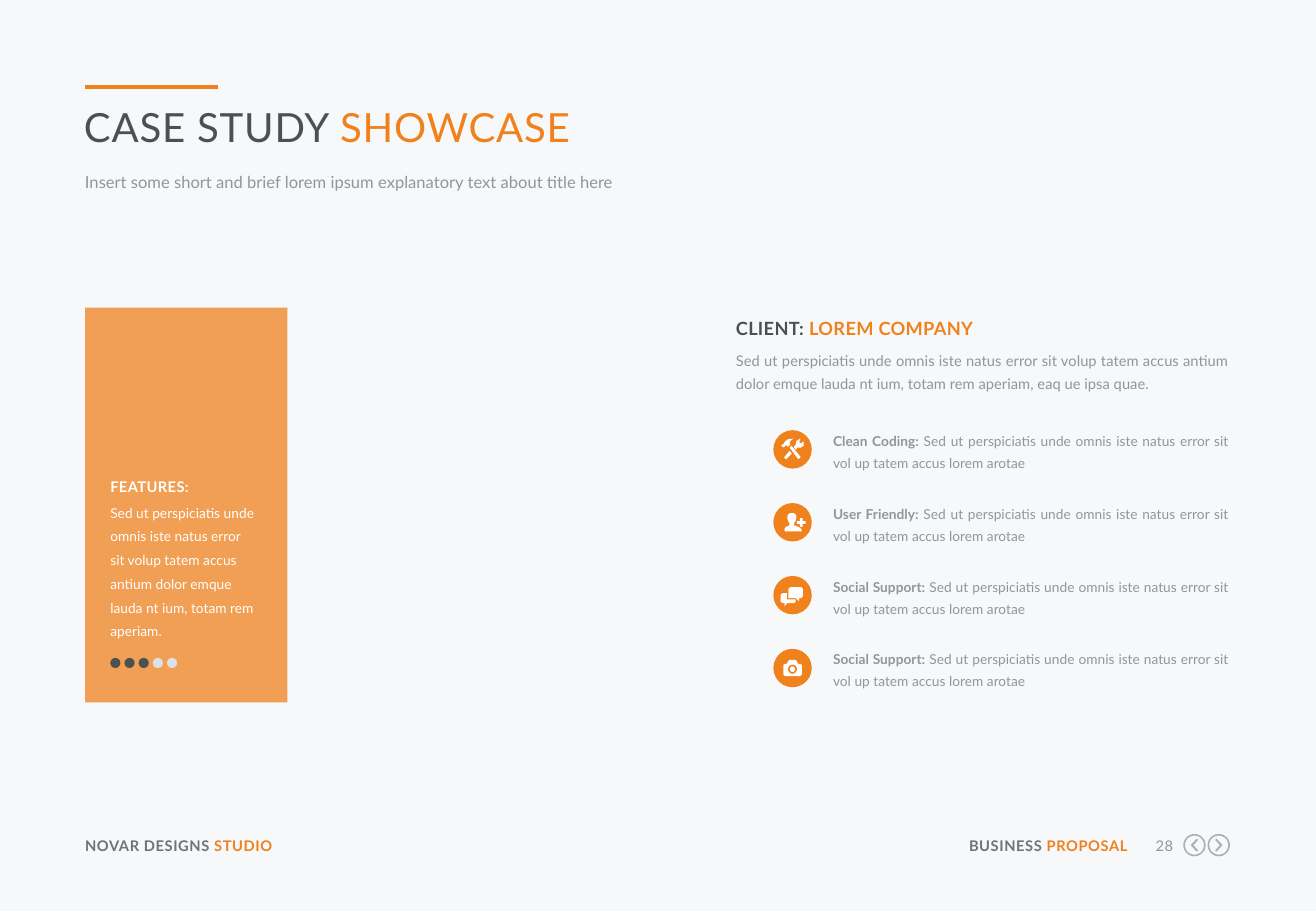
from math import cos, pi, sin

from lxml.etree import SubElement
from pptx import Presentation
from pptx.dml.color import RGBColor
from pptx.enum.shapes import MSO_CONNECTOR as CONN, MSO_SHAPE as SHAPE
from pptx.enum.text import PP_ALIGN as ALIGN
from pptx.oxml.ns import qn
from pptx.util import Pt

PX = 7620  # EMU per px, 120 px to the inch
FONT = "Lato"
COLORS = {
    "back": "F6F8FA", "accent": "F0821E", "dark": "4B5050", "label": "6E7378",
    "muted": "91969B", "nav": "AAAFB4", "pale": "DCE1E6", "white": "FFFFFF",
}


def rgb(name):
    return RGBColor.from_string(COLORS[name])


def circle(cx, cy, radius, steps=36):
    angles = [2 * pi * i / steps for i in range(steps)]
    return [(round(cx + radius * cos(a)), round(cy + radius * sin(a))) for a in angles]


# Icon outlines on a grid of 100 by 100
TOOLS = [
    [(20, 41), (27, 35), (30, 30), (37, 24), (52, 22), (45, 27), (42, 32), (44, 38),
     (38, 43), (33, 39), (27, 45)],
    [(42, 45), (47, 41), (71, 70), (65, 76)],
    [(53, 44), (58, 38), (60, 28), (70, 22), (67, 32), (73, 35), (78, 28), (79, 40),
     (70, 46), (63, 45), (58, 51)],
    [(42, 54), (48, 61), (33, 76), (28, 71)],
]
USER = [
    [(29, 74), (29, 66), (33, 62), (42, 58), (42, 52), (38, 46), (36, 39), (38, 30),
     (44, 26), (53, 26), (58, 30), (60, 37), (58, 46), (54, 52), (54, 58), (67, 63),
     (73, 68), (74, 74)],
    [(69, 39), (76, 39), (76, 47), (84, 47), (84, 54), (76, 54), (76, 62), (69, 62),
     (69, 54), (61, 54), (61, 47), (69, 47)],
]
CHAT = [
    [(24, 45), (35, 45), (35, 61), (58, 61), (58, 67), (53, 71), (35, 71), (29, 80),
     (29, 71), (24, 71), (19, 67), (19, 49)],
    [(44, 29), (72, 29), (77, 34), (77, 53), (72, 58), (67, 58), (67, 66), (58, 58),
     (39, 58), (39, 34)],
]
CAMERA = [
    [(26, 42), (30, 39), (35, 39), (39, 32), (42, 29), (58, 29), (61, 32), (64, 39),
     (70, 39), (74, 42), (74, 67), (70, 71), (30, 71), (26, 67)],
    circle(50, 53, 12), circle(50, 53, 7),
]
NEXT = [
    circle(50, 50, 50), circle(50, 50, 43),
    [(34, 27), (40, 21), (67, 50), (40, 79), (34, 73), (55, 50)],
]
PREVIOUS = [[(100 - x, y) for x, y in outline] for outline in NEXT]


def paint(shape, color):
    shape.shadow.inherit = False
    shape.fill.solid()
    shape.fill.fore_color.rgb = rgb(color)
    shape.line.fill.background()


def add_shape(s, kind, x, y, w, h, color):
    shape = s.shapes.add_shape(kind, x * PX, y * PX, w * PX, h * PX)
    paint(shape, color)
    return shape


def add_icon(s, outlines, x, y, size, color):
    first, *others = outlines
    fb = s.shapes.build_freeform(*first[0], scale=size * PX / 100)
    fb.add_line_segments(first[1:])
    for outline in others:
        fb.move_to(*outline[0])
        fb.add_line_segments(outline[1:])
    paint(fb.convert_to_shape(x * PX, y * PX), color)


def add_text(s, x, y, w, h, runs, size, align=None, leading=None, spacing=0):
    """Each run is (text, color, bold)."""
    tf = s.shapes.add_textbox(x * PX, y * PX, w * PX, h * PX).text_frame
    tf.word_wrap = True
    tf.margin_left = tf.margin_top = tf.margin_right = tf.margin_bottom = 0
    p = tf.paragraphs[0]
    p.alignment = align
    if leading:
        p.line_spacing = Pt(leading)
    for text, color, bold in runs:
        r = p.add_run()
        r.text = text
        r.font.name, r.font.size, r.font.bold = FONT, Pt(size), bold
        r.font.color.rgb = rgb(color)
        if spacing:
            r.font._element.set("spc", str(round(spacing * 100)))


def header(s, x, y, w):
    rule = s.shapes.add_connector(CONN.STRAIGHT, x * PX, y * PX, (x + 131) * PX, y * PX)
    rule.line.color.rgb = rgb("accent")
    rule.line.width = Pt(2.25)
    SubElement(rule._element.spPr, qn("a:effectLst"))
    add_text(s, x - 1, y + 15, w, 52,
             [("CASE STUDY ", "dark", False), ("SHOWCASE", "accent", False)],
             23.8, spacing=0.5)
    add_text(s, x, y + 82, w, 25,
             [("Insert some short and brief lorem ipsum explanatory text about title here",
               "muted", False)], 9.8, leading=13)


def features_panel(s, x, y, w, h):
    panel = add_shape(s, SHAPE.RECTANGLE, x, y, w, h, "accent")
    color = panel._element.spPr.find(qn("a:solidFill"))[0]
    SubElement(color, qn("a:alpha")).set("val", "75000")
    left, text_w = x + 25, w - 57
    add_text(s, left, y + 162, text_w, 24, [("FEATURES:", "white", True)],
             8.7, leading=14.1, spacing=0.2)
    add_text(s, left, y + 187, text_w, 142,
             [("Sed ut perspiciatis unde omnis iste natus error sit volup tatem accus "
               "antium dolor emque lauda nt ium, totam rem aperiam.", "white", False)],
             8.1, leading=14.1)
    # Rating dots
    for i in range(5):
        add_shape(s, SHAPE.OVAL, left + i * 14, y + 346, 10, 10,
                  "dark" if i < 3 else "pale")


def client_details(s, x, y, w):
    add_text(s, x, y, w, 30,
             [("CLIENT: ", "dark", True), ("LOREM COMPANY", "accent", True)],
             10.8, leading=18.4, spacing=0.2)
    add_text(s, x, y + 37, w, 47,
             [("Sed ut perspiciatis unde omnis iste natus error sit volup tatem accus "
               "antium dolor emque lauda nt ium, totam rem aperiam, eaq ue ipsa quae.",
               "muted", False)], 8.7, ALIGN.JUSTIFY, 14.1)
    # Badge and text for each feature
    items = [("Clean Coding:", TOOLS), ("User Friendly:", USER),
             ("Social Support:", CHAT), ("Social Support:", CAMERA)]
    for i, (name, icon) in enumerate(items):
        top = y + 121 + i * 72
        add_shape(s, SHAPE.OVAL, x + 37, top, 38, 38, "accent")
        add_icon(s, icon, x + 37, top, 38, "white")
        add_text(s, x + 96, top - 3, w - 96, 43,
                 [(name, "muted", True),
                  (" Sed ut perspiciatis unde omnis iste natus error sit vol up tatem "
                   "accus lorem arotae", "muted", False)],
                 8.1, ALIGN.JUSTIFY, 13)


def footer(s, x, y, w):
    right = x + w
    add_text(s, x, y, 253, 18,
             [("NOVAR DESIGNS ", "label", True), ("STUDIO", "accent", True)],
             8.7, spacing=0.3)
    add_text(s, right - 265, y, 164, 18,
             [("BUSINESS ", "label", True), ("PROPOSAL", "accent", True)],
             8.7, ALIGN.RIGHT, spacing=0.3)
    add_text(s, right - 86, y, 30, 18, [("28", "muted", False)],
             8.7, ALIGN.RIGHT, spacing=0.3)
    for i, icon in enumerate((PREVIOUS, NEXT)):
        add_icon(s, icon, right - 46 + i * 24, y - 3, 22, "nav")


def main():
    prs = Presentation()
    prs.slide_width, prs.slide_height = 1300 * PX, 900 * PX
    s = prs.slides.add_slide(prs.slide_layouts[6])
    s.background.fill.solid()
    s.background.fill.fore_color.rgb = rgb("back")
    header(s, 84, 86, 1130)
    features_panel(s, 84, 304, 200, 390)
    client_details(s, 727, 304, 487)
    footer(s, 84, 827, 1131)
    prs.save("out.pptx")


if __name__ == "__main__":
    main()
